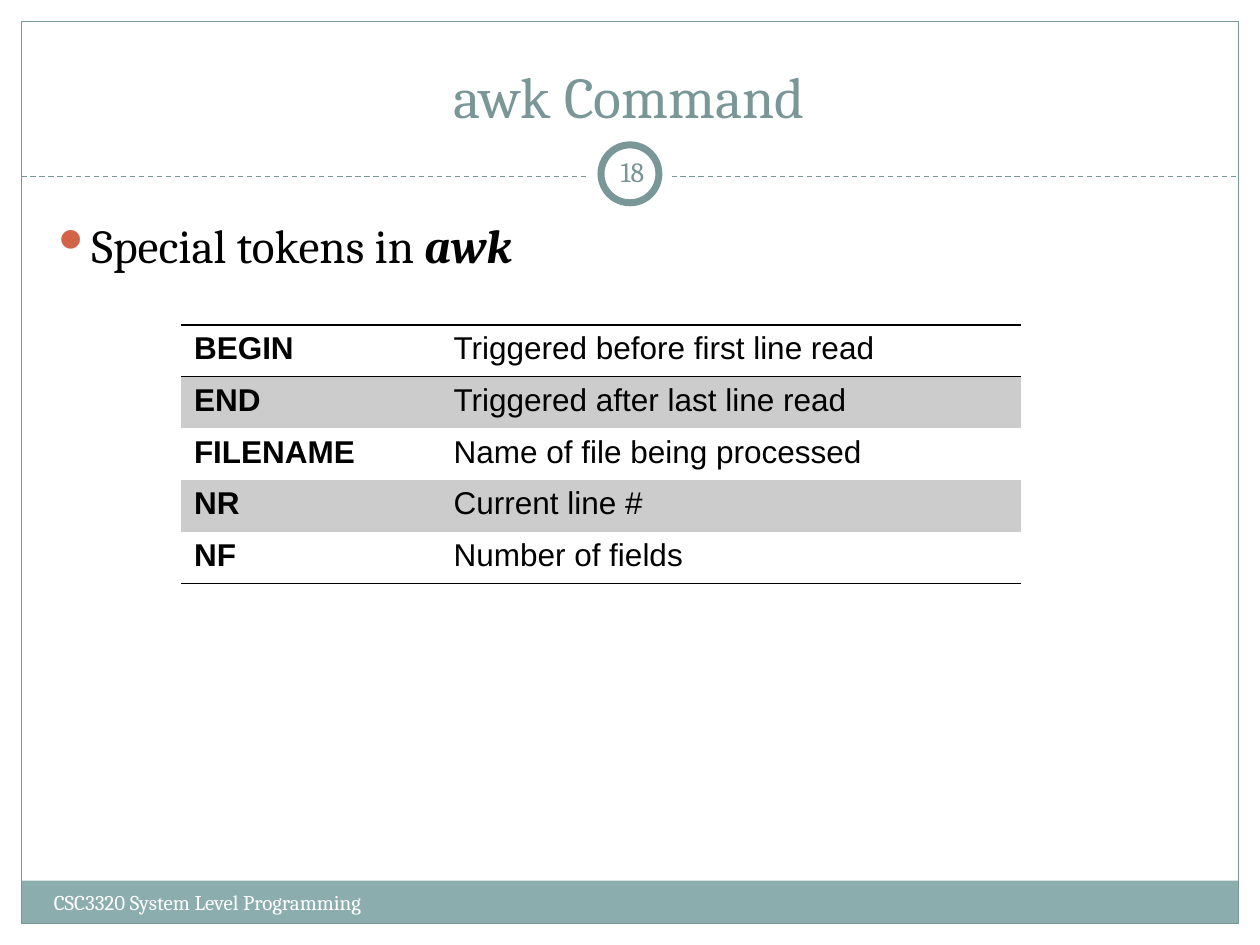
from lxml import etree
from pptx import Presentation
from pptx.dml.color import RGBColor
from pptx.enum.dml import MSO_LINE
from pptx.enum.shapes import MSO_CONNECTOR, MSO_SHAPE
from pptx.enum.text import MSO_ANCHOR, PP_ALIGN
from pptx.oxml.ns import qn
from pptx.util import Inches, Pt

RECT, OVAL = MSO_SHAPE.RECTANGLE, MSO_SHAPE.OVAL
TOP, MIDDLE, BOTTOM = MSO_ANCHOR.TOP, MSO_ANCHOR.MIDDLE, MSO_ANCHOR.BOTTOM
LEFT, CENTER = PP_ALIGN.LEFT, PP_ALIGN.CENTER
DASH = MSO_LINE.DASH

WIDTH, HEIGHT = 10, 7.5
MARGIN = 0.17
RULE_Y = 1.4
BADGE_Y = 1.38
TEXT_LEFT = 0.33
TEAL, PALE_TEAL, RED = "7A9798", "8CADAE", "D16349"
WHITE, BLACK, GREY = "FFFFFF", "000000", "CCCCCC"
NO_STYLE = "{2D5ABB26-0587-4C30-8999-92F81FD0307C}"

COLUMN_WIDTHS = (2.06, 4.6)
ROW_HEIGHT = 0.41
TOKENS = [
    ("BEGIN", "Triggered before first line read"),
    ("END", "Triggered after last line read"),
    ("FILENAME", "Name of file being processed"),
    ("NR", "Current line #"),
    ("NF", "Number of fields"),
]


def color(hex_value):
    return RGBColor.from_string(hex_value)


def add_xml(parent, tag, **attributes):
    return etree.SubElement(parent, qn(tag), attributes)


def set_line(line, hex_value, width):
    line.color.rgb = color(hex_value)
    line.width = Pt(width)


def add_panel(slide, kind, box, fill=None, line=None, width=0.75):
    panel = slide.shapes.add_shape(kind, *map(Inches, box))
    panel.shadow.inherit = False
    if fill:
        panel.fill.solid()
        panel.fill.fore_color.rgb = color(fill)
    else:
        panel.fill.background()
    if line:
        set_line(panel.line, line, width)
    else:
        panel.line.fill.background()


def add_disc(slide, diameter, **look):
    """Centre a white disc on the slide's middle at the badge height."""
    box = ((WIDTH - diameter) / 2, BADGE_Y - diameter / 2, diameter, diameter)
    add_panel(slide, OVAL, box, fill=WHITE, **look)


def add_rule(slide):
    ends = (MARGIN, RULE_Y, WIDTH - MARGIN, RULE_Y)
    rule = slide.shapes.add_connector(MSO_CONNECTOR.STRAIGHT, *map(Inches, ends))
    set_line(rule.line, TEAL, 0.75)
    rule.line.dash_style = DASH
    add_xml(rule._element.spPr, "a:effectLst")


def write(paragraph, text, **formats):
    run = paragraph.add_run()
    run.text = text
    run.font.color.rgb = color(formats.pop("hex_value"))
    for name, value in formats.items():
        setattr(run.font, name, value)


def add_text(slide, box, text, size, hex_value, anchor=TOP, align=LEFT, side_inset=0.1):
    frame = slide.shapes.add_textbox(*map(Inches, box)).text_frame
    frame.word_wrap = True
    frame.vertical_anchor = anchor
    frame.margin_left = frame.margin_right = Inches(side_inset)
    paragraph = frame.paragraphs[0]
    paragraph.alignment = align
    write(paragraph, text, size=Pt(size), name="Cambria", hex_value=hex_value)
    return paragraph


def add_bullet(paragraph, indent):
    properties = paragraph._p.get_or_add_pPr()
    properties.set("marL", str(Inches(indent)))
    properties.set("indent", str(-Inches(indent)))
    add_xml(add_xml(properties, "a:buClr"), "a:srgbClr", val=RED)
    add_xml(properties, "a:buSzPct", val="85000")
    add_xml(properties, "a:buChar", char="⚫")


def add_border(cell, tag):
    border = add_xml(cell._tc.get_or_add_tcPr(), tag, w=str(Pt(1)))
    add_xml(add_xml(border, "a:solidFill"), "a:srgbClr", val=BLACK)


def fill_cell(cell, text, bold, shaded):
    write(cell.text_frame.paragraphs[0], text, size=Pt(18), name="Arial",
          bold=bold, hex_value=BLACK)
    if shaded:
        cell.fill.solid()
        cell.fill.fore_color.rgb = color(GREY)
    else:
        cell.fill.background()


def add_token_table(slide, left, top):
    size = (sum(COLUMN_WIDTHS), ROW_HEIGHT * len(TOKENS))
    table = slide.shapes.add_table(len(TOKENS), len(COLUMN_WIDTHS),
                                   *map(Inches, (left, top, *size))).table
    table._tbl.tblPr.find(qn("a:tableStyleId")).text = NO_STYLE
    table.first_row = table.horz_banding = False
    for column, width in zip(table.columns, COLUMN_WIDTHS):
        column.width = Inches(width)
    for row, texts in enumerate(TOKENS):
        table.rows[row].height = Inches(ROW_HEIGHT)
        for column, text in enumerate(texts):
            cell = table.cell(row, column)
            if row == 0:
                add_border(cell, "a:lnT")
            if row in (0, len(TOKENS) - 1):
                add_border(cell, "a:lnB")
            fill_cell(cell, text, bold=column == 0, shaded=row % 2 == 1)


def main():
    deck = Presentation()
    deck.slide_width, deck.slide_height = Inches(WIDTH), Inches(HEIGHT)
    slide = deck.slides.add_slide(deck.slide_layouts[6])
    inner_width = WIDTH - 2 * MARGIN

    add_panel(slide, RECT, (MARGIN, 6.99, inner_width, 0.34), fill=PALE_TEAL)
    add_panel(slide, RECT, (MARGIN, MARGIN, inner_width, HEIGHT - 2 * MARGIN), line=TEAL)
    add_rule(slide)
    add_disc(slide, 0.67)
    add_disc(slide, 0.46, line=TEAL, width=4)

    add_text(slide, (TEXT_LEFT, 0.25, 9.33, 0.83), "awk Command", 33, TEAL, BOTTOM, CENTER)
    add_text(slide, (TEXT_LEFT, 7.01, 3.92, 0.4), "CSC3320 System Level Programming", 12, WHITE)
    add_text(slide, (4.77, 1.12, 0.5, 0.48), "18", 16, TEAL, MIDDLE, CENTER, side_inset=0.05)
    topic = add_text(slide, (TEXT_LEFT, 1.67, 9.3, 5), "Special tokens in ", 27, BLACK)
    write(topic, "awk", size=Pt(27), name="Cambria", bold=True, italic=True, hex_value=BLACK)
    add_bullet(topic, 0.3)

    add_token_table(slide, 1.44, 2.58)
    deck.save("out.pptx")


if __name__ == "__main__":
    main()
